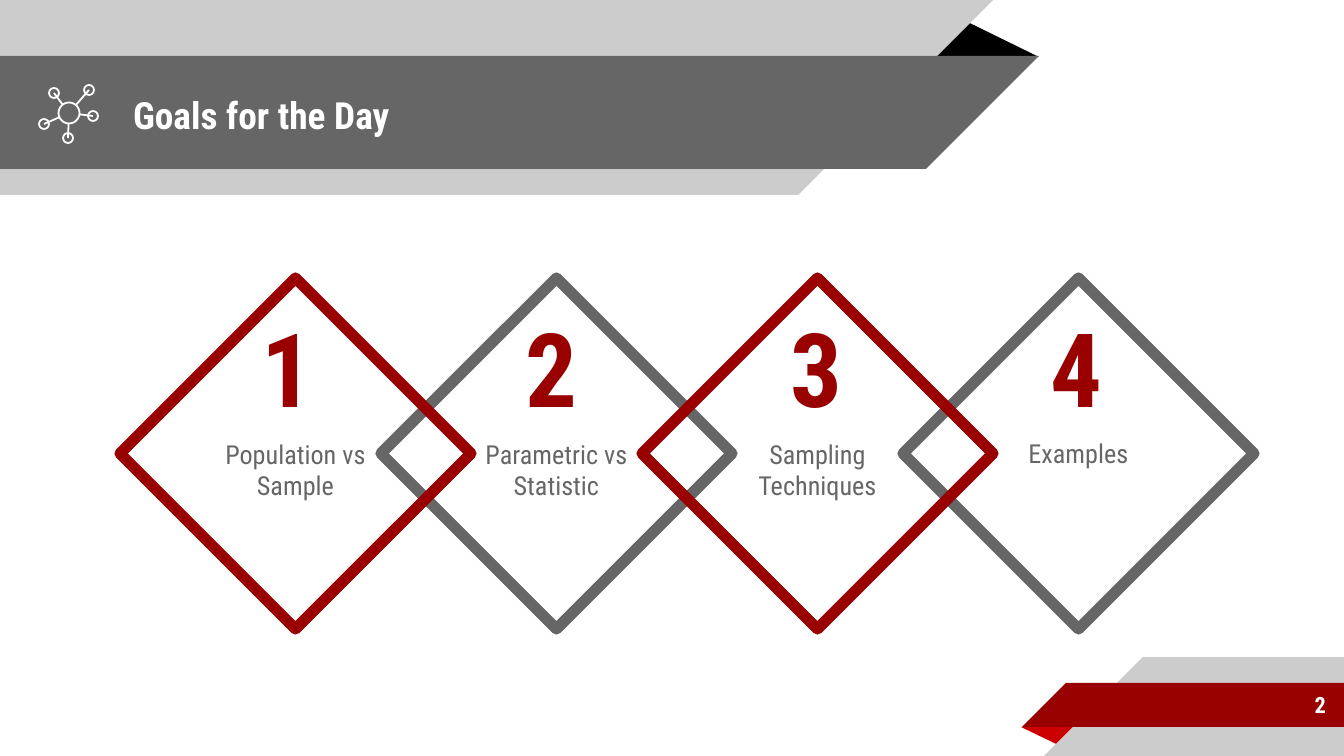
from dataclasses import dataclass
from math import hypot
from typing import Optional

from lxml import etree
from pptx import Presentation
from pptx.dml.color import RGBColor
from pptx.enum import shapes, text
from pptx.oxml.ns import qn
from pptx.util import Emu, Pt

SCALE = 9144000 / 1344
FONT = "Roboto Condensed"
WHITE, BLACK, LIGHT, GRAY = "FFFFFF", "000000", "CCCCCC", "666666"
RED, BRIGHT_RED = "990000", "CC0000"
INSET = 13
LINE_HEIGHT = 32
DIAMOND_LEFT, DIAMOND_TOP, DIAMOND_SIZE, DIAMOND_STEP = 120, 278, 351, 261
HUB_X, HUB_Y, HUB_SIZE, NODE_SIZE = 69, 113, 21, 10
NODES = [(89, 90), (54, 93), (44, 124), (68, 138), (93, 116)]


@dataclass
class Band:
    left: int
    top: int
    width: int
    height: int
    color: str
    from_left: bool


@dataclass
class Fold:
    left: int
    top: int
    width: int
    height: int
    color: str
    rotation: int


@dataclass
class Goal:
    number: str
    topic: str
    color: str
    fill: Optional[str]
    number_left: int
    top_inset: int


TOP = [
    Fold(925, 19, 114, 38, BLACK, 0),
    Band(0, 0, 798, 195, LIGHT, True),
    Band(0, 56, 926, 113, GRAY, True),
]
BOTTOM = [
    Fold(1021, 727, 58, 19, BRIGHT_RED, 180),
    Band(1143, 657, 201, 99, LIGHT, False),
    Band(1066, 683, 278, 44, RED, False),
]
GOALS = [
    Goal("1", "Population vs Sample", RED, None, 249, INSET + LINE_HEIGHT),
    Goal("2", "Parametric vs Statistic", GRAY, WHITE, 513, INSET + LINE_HEIGHT),
    Goal("3", "Sampling Techniques", RED, None, 778, INSET + LINE_HEIGHT),
    Goal("4", "Examples", GRAY, WHITE, 1038, INSET),
]


def px(length: float) -> Emu:
    return Emu(round(length * SCALE))


def rgb(color: str) -> RGBColor:
    return RGBColor.from_string(color)


def put_text(shape, wording: str, *, size: int, color: str, bold: bool = False,
             align=text.PP_ALIGN.LEFT, anchor=text.MSO_ANCHOR.MIDDLE,
             top_inset: int = INSET) -> None:
    frame = shape.text_frame
    frame.word_wrap = True
    frame.auto_size = text.MSO_AUTO_SIZE.NONE
    frame.vertical_anchor = anchor
    frame.margin_left = frame.margin_right = frame.margin_bottom = px(INSET)
    frame.margin_top = px(top_inset)
    frame.text = wording
    paragraph = frame.paragraphs[0]
    paragraph.alignment = align
    font = paragraph.runs[0].font
    font.name, font.size, font.bold = FONT, Pt(size), bold
    font.color.rgb = rgb(color)


def add_preset(slide, kind, left: float, top: float, width: float, height: float,
               fill: Optional[str] = None, line: Optional[str] = None,
               weight: float = 1):
    shape = slide.shapes.add_shape(kind, px(left), px(top), px(width), px(height))
    shape.shadow.inherit = False
    if fill:
        shape.fill.solid()
        shape.fill.fore_color.rgb = rgb(fill)
    else:
        shape.fill.background()
    if line:
        shape.line.color.rgb = rgb(line)
        shape.line.width = Pt(weight)
    else:
        shape.line.fill.background()
    return shape


def draw_fold(slide, fold: Fold) -> None:
    corner = add_preset(slide, shapes.MSO_SHAPE.ISOSCELES_TRIANGLE, fold.left,
                        fold.top, fold.width, fold.height, fold.color)
    corner.adjustments[0] = 0.32
    corner.rotation = fold.rotation


def draw_band(slide, band: Band) -> None:
    add_preset(slide, shapes.MSO_SHAPE.RECTANGLE, band.left, band.top,
               band.width, band.height, band.color)
    tip_left = band.left + band.width if band.from_left else band.left - band.height
    tip = add_preset(slide, shapes.MSO_SHAPE.RIGHT_TRIANGLE, tip_left, band.top,
                     band.height, band.height, band.color)
    tip.rotation = 180 if band.from_left else 0
    tip.element.spPr.get_or_add_xfrm().set("flipH", "1")


def draw_ring(slide, x: int, y: int, size: int) -> None:
    add_preset(slide, shapes.MSO_SHAPE.OVAL, x - size / 2, y - size / 2,
               size, size, line=WHITE, weight=0.96)


def draw_spoke(slide, x: int, y: int) -> None:
    reach = HUB_SIZE / 2 / hypot(x - HUB_X, y - HUB_Y)
    spoke = slide.shapes.add_connector(
        shapes.MSO_CONNECTOR.STRAIGHT, px(x), px(y),
        px(HUB_X + (x - HUB_X) * reach), px(HUB_Y + (y - HUB_Y) * reach))
    spoke.line.color.rgb = rgb(WHITE)
    spoke.line.width = Pt(0.96)
    etree.SubElement(spoke.element.spPr, qn("a:effectLst"))


def draw_diamond(slide, goal: Goal) -> None:
    left = DIAMOND_LEFT + GOALS.index(goal) * DIAMOND_STEP
    diamond = add_preset(slide, shapes.MSO_SHAPE.DIAMOND, left, DIAMOND_TOP,
                         DIAMOND_SIZE, DIAMOND_SIZE, goal.fill, goal.color, 6)
    put_text(diamond, goal.topic, size=14, color=GRAY,
             align=text.PP_ALIGN.CENTER, top_inset=goal.top_inset)


def add_label(slide, left: int, top: int, width: int, height: int,
              wording: str, **style) -> None:
    label = slide.shapes.add_textbox(px(left), px(top), px(width), px(height))
    put_text(label, wording, **style)


def main() -> None:
    deck = Presentation()
    deck.slide_width, deck.slide_height = px(1344), px(756)
    slide = deck.slides.add_slide(deck.slide_layouts[5])

    for part in TOP + BOTTOM:
        if isinstance(part, Fold):
            draw_fold(slide, part)
        else:
            draw_band(slide, part)

    heading = slide.shapes.title
    heading.left, heading.top = px(120), px(58)
    heading.width, heading.height = px(773), px(113)
    put_text(heading, "Goals for the Day", size=20, color=WHITE, bold=True)
    heading.element.getparent().append(heading.element)

    add_label(slide, 1120, 681, 219, 47, "2", size=12, color=WHITE, bold=True,
              align=text.PP_ALIGN.RIGHT)

    draw_ring(slide, HUB_X, HUB_Y, HUB_SIZE)
    for x, y in NODES:
        draw_ring(slide, x, y, NODE_SIZE)
        draw_spoke(slide, x, y)

    for goal in sorted(GOALS, key=lambda goal: goal.fill is None):
        draw_diamond(slide, goal)
    for goal in GOALS:
        add_label(slide, goal.number_left, 293, 73, 148, goal.number, size=55,
                  color=RED, bold=True, anchor=text.MSO_ANCHOR.BOTTOM)

    deck.save("out.pptx")


if __name__ == "__main__":
    main()
